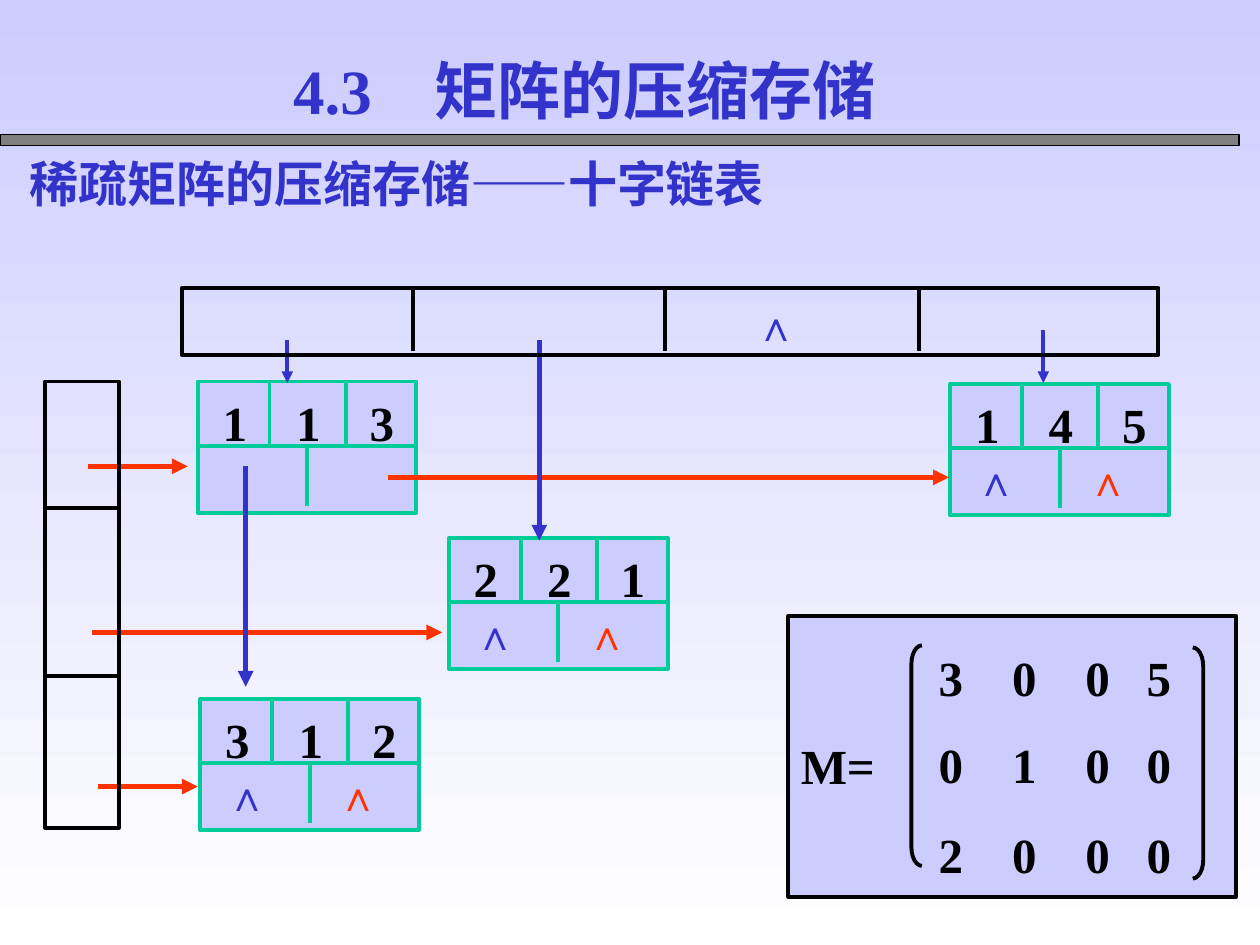
from lxml import etree
from pptx import Presentation
from pptx import util as u
from pptx.dml.color import RGBColor
from pptx.enum import shapes, text
from pptx.oxml.ns import qn

COLORS = {"blue": "3333CC", "red": "FF3300", "green": "00CC99", "black": "000000",
          "lilac": "CCCCFF", "white": "FFFFFF", "gray": "808080"}
LATIN, CHINESE = "Times New Roman", "Noto Sans CJK SC"

TITLE = "4.3　矩阵的压缩存储"
SUBTITLE = [("稀疏矩阵的压缩存储", CHINESE), ("——", LATIN), ("十字链表", CHINESE)]
NULL = "∧"
NODES = [
    (113, 218, (1, 1, 3), ()),
    (543, 219.5, (1, 4, 5), ("blue", "red")),
    (256.5, 307.5, (2, 2, 1), ("blue", "red")),
    (114.5, 399.5, (3, 1, 2), ("blue", "red")),
]
NODE_W, NODE_H, NODE_SPLIT = 125, 75, 36.7
NULL_LEFT = (14.7, 78.5)
ARROWS = [
    ("red", 3, (50.4, 266.5), (107.3, 266.5)),
    ("red", 3, (221.8, 272.8), (542.2, 272.8)),
    ("red", 3, (52.6, 361.4), (252.7, 361.4)),
    ("red", 3, (56.2, 449.5), (113, 449.5)),
    ("blue", 2.25, (164.2, 194.4), (164.2, 218.9)),
    ("blue", 3, (308.2, 194.4), (308.2, 308.9)),
    ("blue", 2.25, (596.2, 188.6), (596.2, 218.9)),
    ("blue", 3, (140.4, 266.5), (140.4, 392.4)),
]
ROW_HEADS = (26, 218, 42, 255)
ROW_DIVIDERS = (290.2, 386.3)
COLUMN_HEADS = (104, 164.6, 558, 38.2)
COLUMN_DIVIDERS = (236.2, 380.2, 525.4)
MATRIX = [(3, 0, 0, 5), (0, 1, 0, 0), (2, 0, 0, 0)]
MATRIX_FRAME = (450.5, 352, 256, 160.5)
MATRIX_TOPS = (363.6, 413.8, 465)
BRACKETS = [
    (shapes.MSO_SHAPE.LEFT_BRACKET, (520.8, 368.8, 6, 126)),
    (shapes.MSO_SHAPE.RIGHT_BRACKET, (681.6, 370, 6, 132)),
]

prs = Presentation()
prs.slide_width, prs.slide_height = u.Pt(720), u.Pt(540)
slide = prs.slides.add_slide(prs.slide_layouts[6])


def rgb(name):
    return RGBColor.from_string(COLORS[name])


def set_chinese(properties):
    etree.SubElement(properties, qn("a:ea")).set("typeface", CHINESE)


def write(shape, runs, size, color, left=7.2, top=6.2, tabs=(), align=text.PP_ALIGN.LEFT):
    frame = shape.text_frame
    frame.word_wrap = True
    frame.vertical_anchor = text.MSO_ANCHOR.TOP
    frame.margin_left, frame.margin_top = u.Pt(left), u.Pt(top)
    frame.margin_right = u.Pt(min(left, 7.2))
    frame.margin_bottom = u.Pt(0)
    paragraph = frame.paragraphs[0]
    paragraph.alignment = align
    if tabs:
        tab_list = etree.SubElement(paragraph._p.get_or_add_pPr(), qn("a:tabLst"))
        for position in tabs:
            tab = etree.SubElement(tab_list, qn("a:tab"))
            tab.set("pos", str(int(u.Pt(position))))
            tab.set("algn", "l")
    paragraph.font.size, paragraph.font.bold = u.Pt(size), True
    paragraph.font.color.rgb = rgb(color)
    for words, font in runs:
        run = paragraph.add_run()
        run.text, run.font.name = words, font
        set_chinese(run._r.get_or_add_rPr())


def label(box, runs, size, color, **layout):
    write(slide.shapes.add_textbox(*map(u.Pt, box)), runs, size, color, **layout)


def outline(box, color, fill=None, width=2.25, kind=shapes.MSO_SHAPE.RECTANGLE):
    shape = slide.shapes.add_shape(kind, *map(u.Pt, box))
    shape.shadow.inherit = False
    if fill:
        shape.fill.solid()
        shape.fill.fore_color.rgb = rgb(fill)
    else:
        shape.fill.background()
    shape.line.color.rgb, shape.line.width = rgb(color), u.Pt(width)
    return shape


def line(start, end, color, width=2.25, arrow=False):
    connector = slide.shapes.add_connector(
        shapes.MSO_CONNECTOR.STRAIGHT, *map(u.Pt, (*start, *end)))
    connector.line.color.rgb, connector.line.width = rgb(color), u.Pt(width)
    if arrow:
        etree.SubElement(connector.line._get_or_add_ln(), qn("a:tailEnd")).set("type", "triangle")
    etree.SubElement(connector._element.spPr, qn("a:effectLst"))


def draw_node(x, y, values, nulls):
    node = outline((x, y, NODE_W, NODE_H), "green", "lilac")
    write(node, [("\t".join(map(str, values)), LATIN)], 28, "black",
          left=14.2, tabs=(42, 84))
    split = y + NODE_SPLIT
    line((x, split), (x + NODE_W, split), "green")
    for offset in (41, 84.5):
        line((x + offset, y), (x + offset, split), "green")
    line((x + NODE_W / 2, split), (x + NODE_W / 2, y + 71), "green")
    for offset, color in zip(NULL_LEFT, nulls):
        label((x + offset, y + 40, 29.5, 28.8), [(NULL, LATIN)], 24, color, left=0, top=0)


background = slide.background.fill
background.gradient()
background.gradient_angle = 270
for stop, color in zip(background.gradient_stops, ("lilac", "white")):
    stop.color.rgb = rgb(color)

outline((0, 77, 708, 6), "black", "gray", 0.75)
label((150, 26, 368, 50.4), [(TITLE, LATIN)], 36, "blue",
      top=3.6, align=text.PP_ALIGN.CENTER)
label((10, 84.2, 520, 41), SUBTITLE, 28, "blue", top=3.6)

outline(MATRIX_FRAME, "black", "lilac")
label((450.5, 414, 65, 41), [("M=", LATIN)], 28, "black")
for top, row in zip(MATRIX_TOPS, MATRIX):
    label((529.2, top, 170, 41), [("\t".join(map(str, row)), LATIN)], 28, "black",
          tabs=(42, 84, 119))
for kind, box in BRACKETS:
    outline(box, "black", kind=kind).adjustments[0] = 1.8

for node in NODES:
    draw_node(*node)
for color, width, start, end in ARROWS:
    line(start, end, color, width, arrow=True)

left, top, width, height = ROW_HEADS
outline(ROW_HEADS, "black")
for y in ROW_DIVIDERS:
    line((left, y), (left + width, y), "black")
left, top, width, height = COLUMN_HEADS
outline(COLUMN_HEADS, "black")
for x in COLUMN_DIVIDERS:
    line((x, top), (x, top + 36), "black")
label((424.8, 167.8, 43, 36), [(NULL, LATIN)], 24, "blue", top=3.6)

prs.save("out.pptx")
